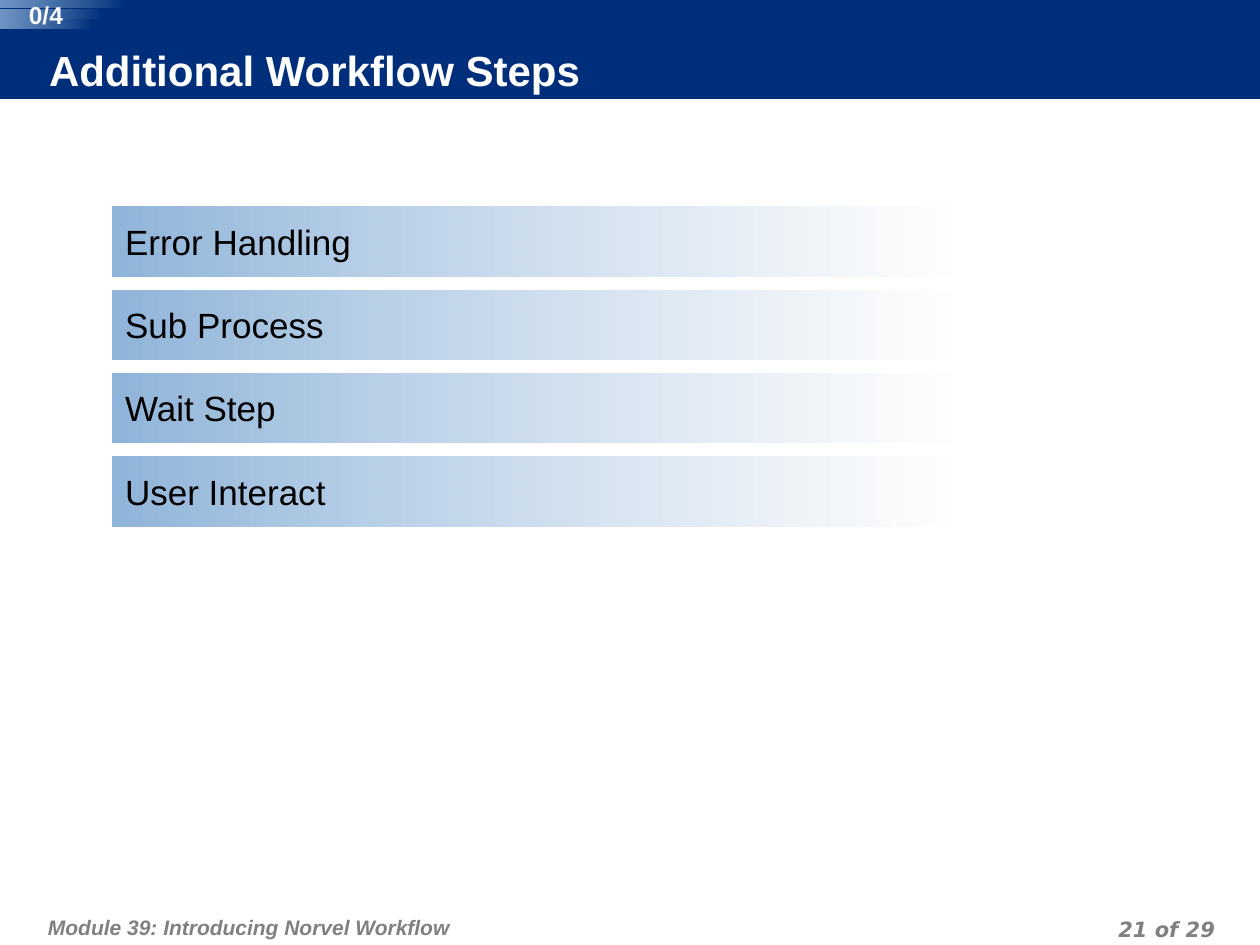
from pptx import Presentation
from pptx import util as u
from pptx.dml.color import RGBColor
from pptx.enum import shapes, text
from pptx.oxml import ns, xmlchemy

SCALE = 914400 / 126
NAVY, SKY, PALE, GREY = "002E7A", "90B5DA", "FEFEFE", "808080"

TITLE = "Additional Workflow Steps"
STEPS = ["Error Handling", "Sub Process", "Wait Step", "User Interact"]
COUNTER = "0/4"
FOOTERS = [
    ("Module 39: Introducing Norvel Workflow", (42, 895, 779, 50), (6, 13, 6, 6), "Arial", text.PP_ALIGN.LEFT),
    ("21 of 29", (927, 910, 294, 32), (6, 0, 6, 0), "DejaVu Sans", text.PP_ALIGN.RIGHT),
]
STRIPS = [(0, 127, 8), (10, 103, 8), (20, 92, 9)]
BAR_LEFT, BAR_WIDTH, BAR_HEIGHT = 112, 839, 69
FIRST_TOP, LAST_TOP = 207, 457


def px(value):
    return u.Emu(round(value * SCALE))


def color(value):
    return RGBColor.from_string(value)


def write(shape, words, size=20, font="Arial", fill="000000", bold=False, italic=False,
          align=text.PP_ALIGN.LEFT, anchor=text.MSO_ANCHOR.TOP, insets=(0, 0, 0, 0),
          before=0, spacing=None):
    frame = shape.text_frame
    frame.word_wrap = True
    frame.auto_size = text.MSO_AUTO_SIZE.NONE
    frame.vertical_anchor = anchor
    frame.margin_left, frame.margin_top, frame.margin_right, frame.margin_bottom = map(px, insets)
    para = frame.paragraphs[0]
    para.alignment = align
    para.space_before = u.Pt(before)
    if spacing:
        para.line_spacing = u.Pt(spacing)
    span = para.add_run()
    span.text = words
    span.font.size, span.font.name = u.Pt(size), font
    span.font.bold, span.font.italic = bold, italic
    span.font.color.rgb = color(fill)


def add_box(parent, kind, place):
    box = parent.add_shape(kind, *map(px, place))
    box.shadow.inherit = False
    box.line.fill.background()
    return box


def add_fading_bar(parent, place, colors, opacities):
    bar = add_box(parent, shapes.MSO_SHAPE.ROUNDED_RECTANGLE, place)
    bar.adjustments[0] = 0
    bar.fill.gradient()
    bar.fill.gradient_angle = 180
    for stop, value in zip(bar.fill.gradient_stops, colors):
        stop.color.rgb = color(value)
    for node, opacity in zip(bar.element.iter(ns.qn("a:srgbClr")), opacities):
        if opacity < 100:
            alpha = xmlchemy.OxmlElement("a:alpha")
            alpha.set("val", str(opacity * 1000))
            node.append(alpha)
    return bar


def main():
    deck = Presentation()
    deck.slide_width, deck.slide_height = px(1260), px(945)
    page = deck.slides.add_slide(deck.slide_layouts[5])

    header = add_box(page.shapes, shapes.MSO_SHAPE.RECTANGLE, (0, 0, 1260, 99))
    header.fill.solid()
    header.fill.fore_color.rgb = color(NAVY)

    title = page.shapes.title
    title.left, title.top, title.width, title.height = map(px, (49, 48, 1155, 50))
    title.fill.solid()
    title.fill.fore_color.rgb = color(NAVY)
    write(title, TITLE, size=24, fill="FFFFFF", bold=True,
          anchor=text.MSO_ANCHOR.MIDDLE, insets=(0, 0, 6, 6))
    title.element.addprevious(header.element)

    for words, place, insets, font, align in FOOTERS:
        box = page.shapes.add_textbox(*map(px, place))
        write(box, words, size=12, font=font, fill=GREY, bold=True, italic=True,
              align=align, insets=insets, before=6, spacing=18)

    pitch = (LAST_TOP - FIRST_TOP) / (len(STEPS) - 1)
    for index, step in enumerate(STEPS):
        place = (BAR_LEFT, FIRST_TOP + index * pitch, BAR_WIDTH, BAR_HEIGHT)
        bar = add_fading_bar(page.shapes, place, (PALE, SKY), (75, 100))
        write(bar, step, insets=(13, 13, 13, 6), before=5)

    badge = page.shapes.add_group_shape().shapes
    for top, width, height in STRIPS:
        add_fading_bar(badge, (0, top, width, height), (NAVY, SKY), (100, 76))
    counter = badge.add_textbox(*map(px, (14, 0, 64, 29)))
    write(counter, COUNTER, size=14, fill="F8F8F8", bold=True, align=text.PP_ALIGN.CENTER)

    deck.save("out.pptx")


if __name__ == "__main__":
    main()
